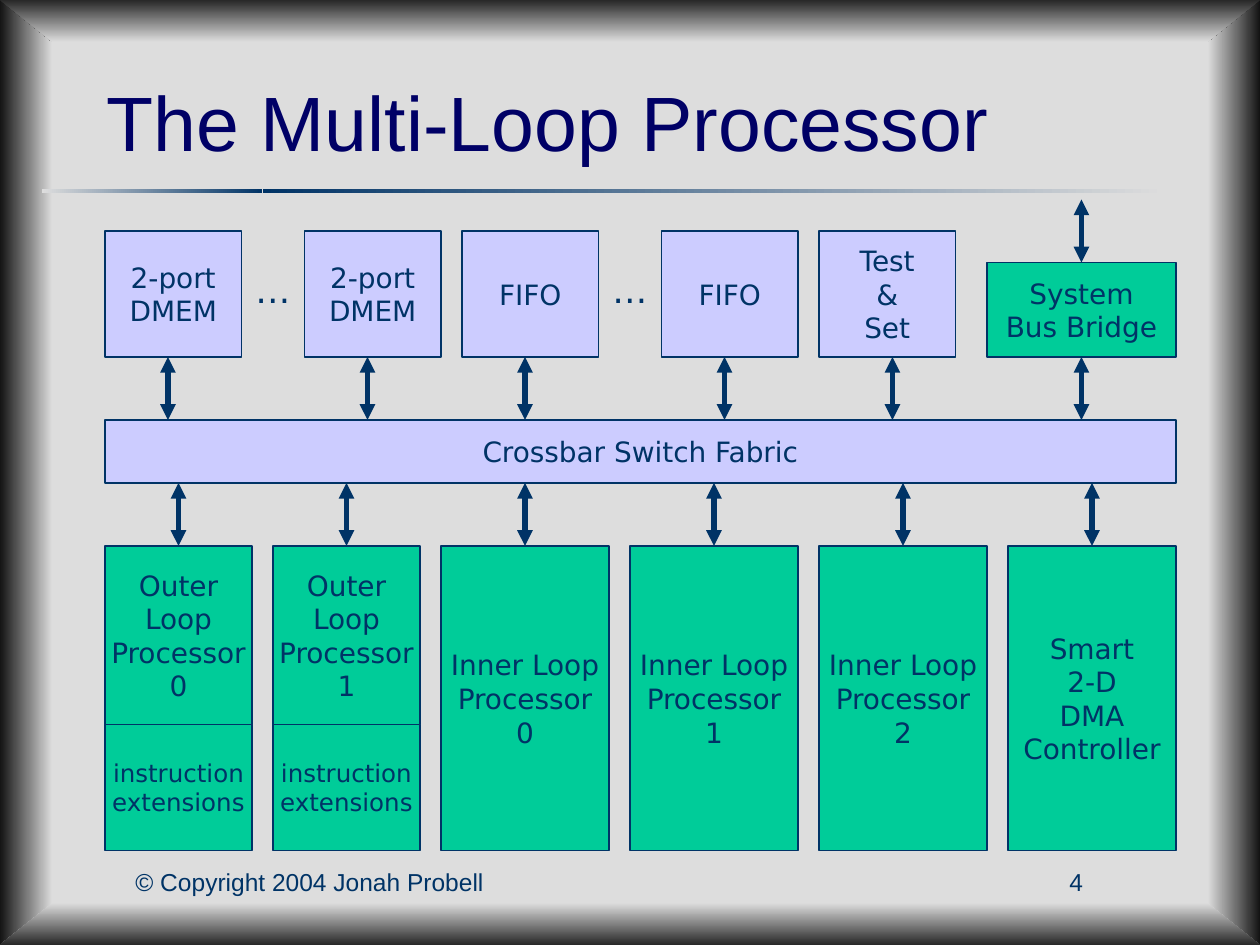
from dataclasses import dataclass

from lxml.etree import SubElement
from pptx import Presentation
from pptx.dml.color import RGBColor
from pptx.enum.shapes import MSO_CONNECTOR as CONN, MSO_SHAPE as SHAPE
from pptx.enum.text import MSO_ANCHOR as ANCHOR, PP_ALIGN as ALIGN
from pptx.oxml.ns import qn
from pptx.util import Pt

GREY = RGBColor(0xDD, 0xDD, 0xDD)
SIDE_DARK = RGBColor(0x13, 0x13, 0x13)
EDGE_DARK = RGBColor(0x27, 0x27, 0x27)
NAVY = RGBColor(0x00, 0x33, 0x66)
TITLE_BLUE = RGBColor(0x00, 0x00, 0x66)
LILAC = RGBColor(0xCC, 0xCC, 0xFF)
GREEN = RGBColor(0x00, 0xCC, 0x99)

WIDTH, HEIGHT = 720, 540
SIDE, EDGE = 30, 24  # thickness of the frame
RIGHTWARD, DOWNWARD = 0, 270  # gradient angles

MEMORY_TOP, MEMORY_BOTTOM = 132, 204
FABRIC_TOP, FABRIC_BOTTOM = 240, 276
CORE_TOP, CORE_BOTTOM = 312, 486
EXTENSION_TOP = 414


@dataclass
class Block:
    left: float
    top: float
    width: float
    height: float
    text: str
    color: RGBColor
    size: float = 16
    inset: tuple[float, float] = (0, 0)


@dataclass
class Label:
    left: float
    top: float
    width: float
    height: float
    text: str
    size: float
    font: str = "Arial"
    color: RGBColor = NAVY
    align: ALIGN = ALIGN.CENTER
    anchor: ANCHOR = ANCHOR.TOP


@dataclass
class Memory:
    left: float
    text: str
    port: float = 36  # arrow offset from the left side


def set_text(sp, text: str, size: float, font: str, color: RGBColor,
             align: ALIGN, anchor: ANCHOR, inset: tuple[float, float]) -> None:
    tf = sp.text_frame
    tf.word_wrap = True
    tf.vertical_anchor = anchor
    tf.margin_left = tf.margin_right = Pt(inset[0])
    tf.margin_top = tf.margin_bottom = Pt(inset[1])
    tf.text = text
    for p in tf.paragraphs:
        p.alignment = align
        p.font.size, p.font.name = Pt(size), font
        p.font.color.rgb = color


def add_block(s, b: Block):
    sp = s.shapes.add_shape(SHAPE.RECTANGLE, Pt(b.left), Pt(b.top), Pt(b.width), Pt(b.height))
    sp.shadow.inherit = False
    sp.fill.solid()
    sp.fill.fore_color.rgb = b.color
    sp.line.color.rgb = NAVY
    sp.line.width = Pt(0.75)
    set_text(sp, b.text, b.size, "DejaVu Sans", NAVY, ALIGN.CENTER, ANCHOR.MIDDLE, b.inset)
    return sp


def add_label(s, t: Label) -> None:
    sp = s.shapes.add_textbox(Pt(t.left), Pt(t.top), Pt(t.width), Pt(t.height))
    set_text(sp, t.text, t.size, t.font, t.color, t.align, t.anchor, (7.2, 3.6))


def add_arrow(s, x: float, bottom: float, top: float):
    """Draw an upward line with a head at both ends."""
    c = s.shapes.add_connector(CONN.STRAIGHT, Pt(x), Pt(bottom), Pt(x), Pt(top))
    c.line.color.rgb = NAVY
    c.line.width = Pt(3)
    ln = c.line._get_or_add_ln()
    for end in ("a:headEnd", "a:tailEnd"):
        SubElement(ln, qn(end), type="triangle")
    SubElement(c._element.spPr, qn("a:effectLst"))
    return c


def fade(sp, start: RGBColor, end: RGBColor, angle: float) -> None:
    sp.shadow.inherit = False
    sp.line.fill.background()
    sp.fill.gradient()
    sp.fill.gradient_angle = angle
    for stop, color, position in zip(sp.fill.gradient_stops, (start, end), (0, 1)):
        stop.color.rgb = color
        stop.position = position


def add_fading_bar(s, left: float, top: float, width: float, height: float,
                   start: RGBColor, end: RGBColor) -> None:
    sp = s.shapes.add_shape(SHAPE.RECTANGLE, Pt(left), Pt(top), Pt(width), Pt(height))
    fade(sp, start, end, RIGHTWARD)


def add_frame_edge(s, outer: float, inner: float, start: RGBColor, end: RGBColor) -> None:
    """Draw a mitred strip between two heights."""
    points = [(0, outer), (WIDTH, outer), (WIDTH - SIDE, inner), (SIDE, inner)]
    (x, y), *rest = [(Pt(px), Pt(py)) for px, py in points]
    fb = s.shapes.build_freeform(x, y)
    fb.add_line_segments(rest, close=True)
    fade(fb.convert_to_shape(), start, end, DOWNWARD)


def add_background(s) -> None:
    s.background.fill.solid()
    s.background.fill.fore_color.rgb = GREY
    add_fading_bar(s, 0, 0, SIDE, HEIGHT, SIDE_DARK, GREY)
    add_fading_bar(s, WIDTH - SIDE, 0, SIDE, HEIGHT, GREY, SIDE_DARK)
    add_frame_edge(s, 0, EDGE, EDGE_DARK, GREY)
    add_frame_edge(s, HEIGHT, HEIGHT - EDGE, GREY, EDGE_DARK)
    add_fading_bar(s, 24, 108, 126, 2.25, GREY, NAVY)
    add_fading_bar(s, 150, 108, 516, 2.25, NAVY, GREY)


def add_memories(s) -> None:
    memories = [Memory(60, "2-port\nDMEM"), Memory(174, "2-port\nDMEM"),
                Memory(264, "FIFO"), Memory(378, "FIFO"), Memory(468, "Test\n&\nSet", 42)]
    for m in memories:
        add_block(s, Block(m.left, MEMORY_TOP, 78, MEMORY_BOTTOM - MEMORY_TOP, m.text, LILAC))
        add_arrow(s, m.left + m.port, FABRIC_TOP, MEMORY_BOTTOM)
    for left in (138, 342):
        add_label(s, Label(left, 150, 36, 31.7, "…", 20, "DejaVu Sans"))


def add_bridge(s) -> None:
    bridge = add_block(s, Block(564, 150, 108, 54, "System Bus Bridge", GREEN, inset=(7.2, 3.6)))
    add_arrow(s, 618, FABRIC_TOP, MEMORY_BOTTOM).end_connect(bridge, 2)
    add_arrow(s, 618, 150, 114).begin_connect(bridge, 0)


def add_cores(s) -> None:
    outer_height = EXTENSION_TOP - CORE_TOP
    full_height = CORE_BOTTOM - CORE_TOP
    cores = [Block(60 + 96 * i, CORE_TOP, 84, outer_height, f"Outer Loop Processor {i}", GREEN)
             for i in range(2)]
    for core in cores:
        add_block(s, Block(core.left, EXTENSION_TOP, core.width, CORE_BOTTOM - EXTENSION_TOP,
                           "instruction extensions", GREEN, 14))
    texts = [f"Inner Loop Processor\n{i}" for i in range(3)] + ["Smart\n2-D\nDMA Controller"]
    cores += [Block(252 + 108 * i, CORE_TOP, 96, full_height, text, GREEN)
              for i, text in enumerate(texts)]
    for core in cores:
        sp = add_block(s, core)
        arrow = add_arrow(s, core.left + core.width / 2, CORE_TOP, FABRIC_BOTTOM)
        arrow.begin_connect(sp, 0)


def main() -> None:
    prs = Presentation()
    prs.slide_width, prs.slide_height = Pt(WIDTH), Pt(HEIGHT)
    s = prs.slides.add_slide(prs.slide_layouts[6])
    add_background(s)
    add_label(s, Label(54, 30, 612, 78, "The Multi-Loop Processor", 44, color=TITLE_BLUE,
                       align=ALIGN.LEFT, anchor=ANCHOR.MIDDLE))
    add_block(s, Block(60, FABRIC_TOP, 612, FABRIC_BOTTOM - FABRIC_TOP,
                       "Crossbar Switch Fabric", LILAC, inset=(7.2, 3.6)))
    add_memories(s)
    add_bridge(s)
    add_cores(s)
    add_label(s, Label(54, 492, 246, 18, "© Copyright 2004 Jonah Probell", 14))
    add_label(s, Label(564, 492, 102, 18, "4", 14))
    prs.save("out.pptx")


if __name__ == "__main__":
    main()
